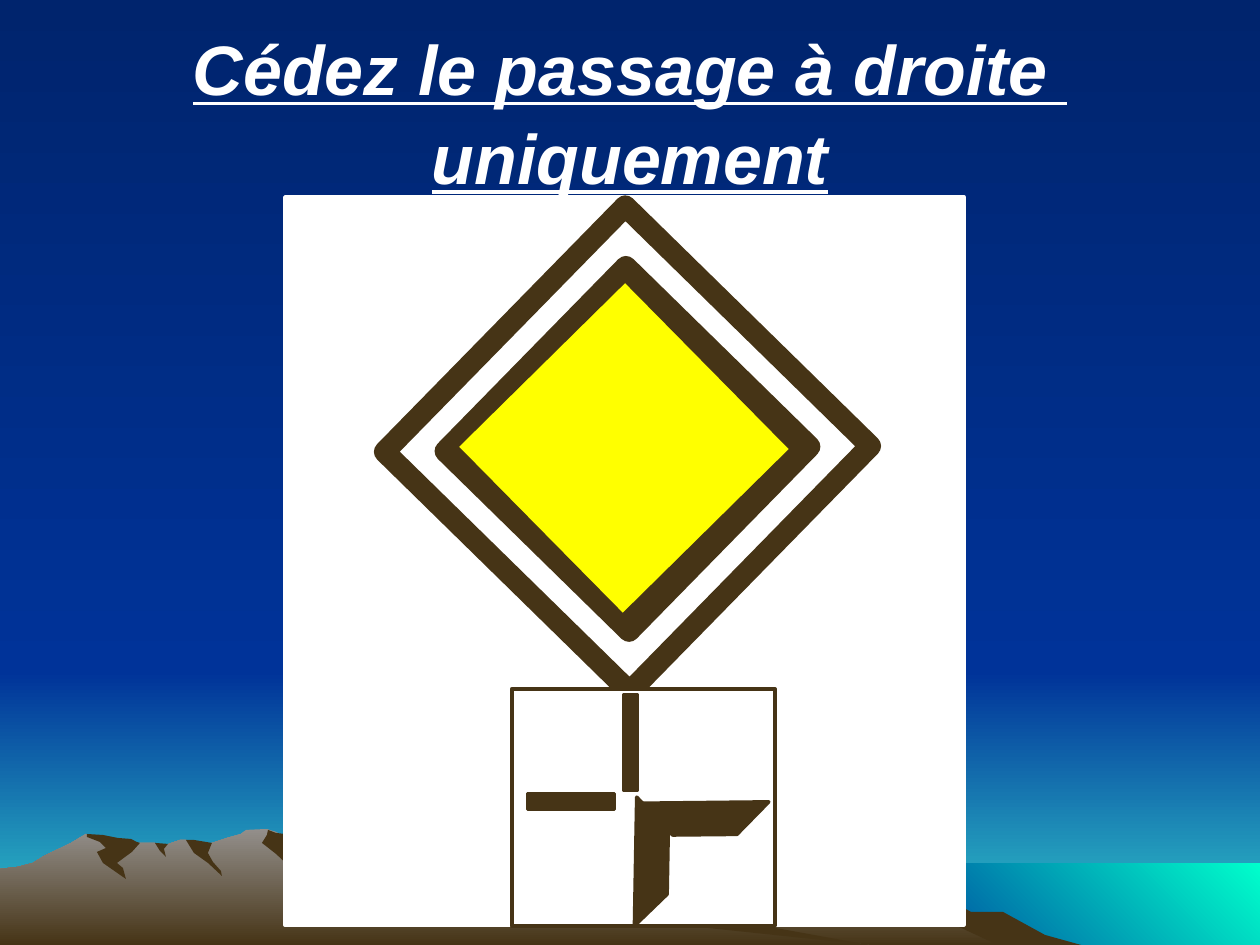
from pptx import Presentation
from pptx.dml.color import RGBColor
from pptx.enum.shapes import MSO_SHAPE as Preset
from pptx.enum.text import MSO_ANCHOR as Anchor, MSO_AUTO_SIZE as AutoSize, PP_ALIGN as Align
from pptx.oxml.ns import qn
from pptx.util import Pt
from lxml.etree import SubElement

PX = 914400 // 126
WIDTH, HEIGHT = 1260, 945
HORIZON = 672
NIGHT, BLUE, TURQUOISE, AQUA = "00246D", "003399", "33CCCC", "00FFCC"
BROWN, WHITE, YELLOW = "463416", "FFFFFF", "FFFF00"
DOWN, UP_RIGHT = 270, 45

MIDDLE_RANGE = [
    (1011, 932), (980, 916), (963, 911), (911, 879), (885, 845), (863, 832),
    (852, 839), (827, 845), (793, 845), (772, 858), (713, 878), (675, 869),
    (667, 852), (663, 848), (641, 843), (626, 845), (612, 848), (597, 833),
    (593, 829), (586, 829), (567, 837), (559, 842), (552, 845), (542, 845),
    (527, 851), (510, 858), (496, 863), (447, 879), (412, 893), (349, 931),
    (325, 945), (1034, 945)]
RIGHT_SLOPE = [
    (1003, 912), (971, 912), (925, 886), (891, 845), (863, 832), (868, 837),
    (863, 845), (871, 857), (879, 885), (873, 924), (907, 903), (998, 945),
    (1081, 945), (1045, 935)]
LEFT_RANGE = [
    (869, 945), (840, 942), (544, 897), (446, 838), (417, 835), (412, 842),
    (407, 842), (401, 837), (373, 852), (352, 858), (341, 859), (328, 852),
    (297, 858), (281, 835), (276, 832), (267, 829), (246, 830), (241, 834),
    (227, 838), (212, 843), (202, 845), (186, 840), (180, 840), (166, 845),
    (161, 845), (155, 843), (140, 843), (118, 845), (86, 834), (71, 843),
    (63, 847), (44, 856), (33, 863), (18, 867), (0, 869), (0, 945)]
RAVINES = [
    [(267, 835), (262, 843), (276, 854), (292, 869), (304, 867), (336, 893),
     (329, 869), (341, 859), (328, 849), (309, 842), (292, 835), (276, 833),
     (268, 830)],
    [(466, 842), (446, 838), (433, 838), (427, 843), (425, 866), (438, 861),
     (445, 867), (457, 871), (471, 897), (513, 916), (595, 916), (869, 945),
     (573, 891), (538, 872), (505, 858), (486, 851)],
    [(194, 840), (212, 843), (208, 853), (213, 862), (221, 871), (222, 876),
     (208, 863), (194, 853), (186, 840)],
    [(168, 844), (164, 849), (166, 857), (160, 851), (155, 843)],
    [(137, 842), (140, 843), (132, 852), (117, 863), (123, 868), (126, 879),
     (103, 863), (97, 852), (106, 848), (100, 842), (87, 837), (87, 834),
     (103, 835), (118, 838), (131, 839)]]


def color(value):
    return RGBColor.from_string(value)


def fill_solid(fill, value):
    fill.solid()
    fill.fore_color.rgb = color(value)


def fill_gradient(fill, start, end, angle=DOWN):
    fill.gradient()
    fill.gradient_angle = angle
    for stop, value, position in zip(fill.gradient_stops, (start, end), (0, 1)):
        stop.color.rgb = color(value)
        stop.position = position


def add_preset(slide, preset, box, rotation=0):
    shape = slide.shapes.add_shape(preset, *(length * PX for length in box))
    shape.rotation = rotation
    shape.shadow.inherit = False
    shape.line.fill.background()
    return shape


def add_sky(slide, box, start, end, angle=DOWN):
    shape = add_preset(slide, Preset.RECTANGLE, box)
    fill_gradient(shape.fill, start, end, angle)


def add_rock(slide, points, top_color=BROWN):
    builder = slide.shapes.build_freeform(*points[0], scale=PX)
    builder.add_line_segments(points[1:], close=True)
    shape = builder.convert_to_shape()
    shape.shadow.inherit = False
    shape.line.fill.background()
    if top_color == BROWN:
        fill_solid(shape.fill, BROWN)
    else:
        fill_gradient(shape.fill, top_color, BROWN)


def add_sign_part(slide, preset, box, fill, line_width, rotation=0, line=BROWN):
    shape = add_preset(slide, preset, box, rotation)
    fill_solid(shape.fill, fill)
    fill_solid(shape.line.fill, line)
    shape.line.width = Pt(line_width)
    SubElement(shape.line._get_or_add_ln(), qn("a:round"))


def add_landscape(slide):
    fill_gradient(slide.background.fill, NIGHT, BLUE)
    add_sky(slide, (0, HORIZON, WIDTH, HEIGHT - HORIZON), BLUE, TURQUOISE)
    add_sky(slide, (0, 0, WIDTH, HORIZON), NIGHT, BLUE)
    add_sky(slide, (861, 863, WIDTH - 861, HEIGHT - 863), BLUE, AQUA, UP_RIGHT)
    add_rock(slide, MIDDLE_RANGE, "A5A29F")
    add_rock(slide, RIGHT_SLOPE)
    add_rock(slide, LEFT_RANGE, "938F8B")
    for ravine in RAVINES:
        add_rock(slide, ravine)


def set_title(slide, text):
    title = slide.shapes.title
    title.left, title.top, title.width, title.height = (
        length * PX for length in (63, 31, 1134, 158))
    slide.shapes._spTree.append(title._element)
    frame = title.text_frame
    frame.text = text
    frame.word_wrap = True
    frame.auto_size = AutoSize.NONE
    frame.vertical_anchor = Anchor.MIDDLE
    paragraph = frame.paragraphs[0]
    paragraph.alignment = Align.CENTER
    paragraph.line_spacing = 1.05
    font = paragraph.font
    font.name, font.size = "Arial", Pt(40)
    font.bold = font.italic = font.underline = True
    font.color.rgb = color(WHITE)


def add_priority_sign(slide):
    add_sign_part(slide, Preset.FRAME, (456, 277, 343, 344), WHITE, 12.25, 44.4)
    add_sign_part(slide, Preset.RECTANGLE, (501, 325, 246, 246), YELLOW, 7.25, 45.4)


def add_junction_plate(slide):
    add_sign_part(slide, Preset.FLOWCHART_PROCESS, (512, 689, 263, 237), WHITE, 2.25)
    add_sign_part(slide, Preset.MATH_MINUS, (512, 767, 118, 69), BROWN, 2)
    add_sign_part(slide, Preset.MATH_MINUS, (566, 713, 129, 59), BROWN, 2, 270)
    add_sign_part(slide, Preset.DIAGONAL_STRIPE, (659, 757, 91, 91), BROWN, 2, 224.4)
    add_sign_part(slide, Preset.DIAGONAL_STRIPE, (590, 816, 91, 91), BROWN, 2, 136)


def main():
    presentation = Presentation()
    presentation.slide_width, presentation.slide_height = WIDTH * PX, HEIGHT * PX
    slide = presentation.slides.add_slide(presentation.slide_layouts[5])
    add_landscape(slide)
    add_sign_part(slide, Preset.RECTANGLE, (285, 197, 679, 728), WHITE, 2, line=WHITE)
    set_title(slide, "Cédez le passage à droite  uniquement")
    add_priority_sign(slide)
    add_junction_plate(slide)
    presentation.save("out.pptx")


if __name__ == "__main__":
    main()
